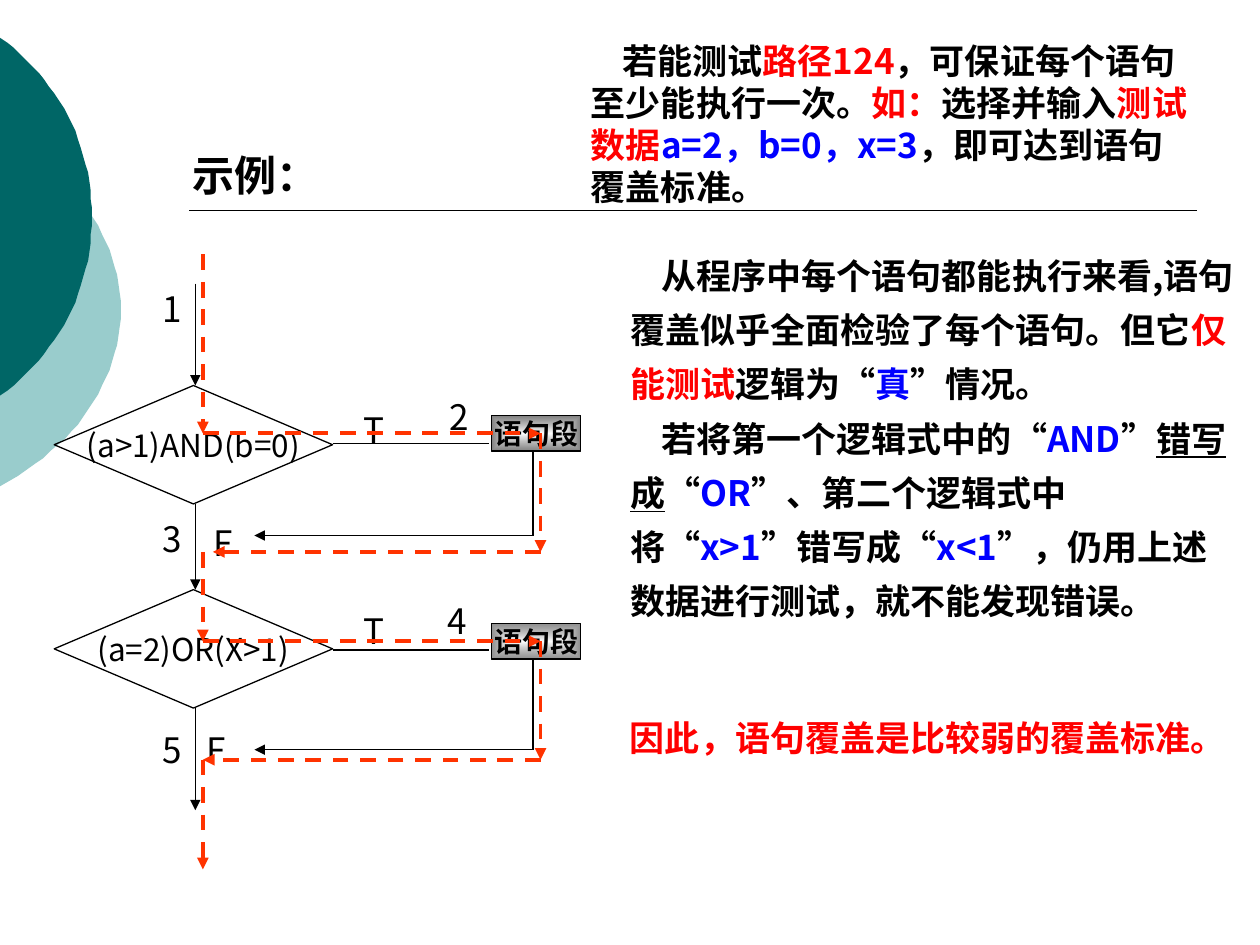
from lxml.etree import SubElement
from pptx import Presentation
from pptx.dml.color import RGBColor
from pptx.enum.dml import MSO_LINE
from pptx.enum.shapes import MSO_CONNECTOR, MSO_SHAPE
from pptx.enum.text import MSO_ANCHOR, MSO_AUTO_SIZE, PP_ALIGN
from pptx.oxml import parse_xml
from pptx.oxml.ns import nsdecls, qn
from pptx.util import Pt

PX = 9144
FONT = "Noto Sans CJK SC"
BLACK, RED, BLUE, ORANGE = "000000", "FF0000", "0000FF", "FF3300"


def px(*values):
    return [v * PX for v in values]


def rgb(color):
    return RGBColor.from_string(color)


def place(shape, box):
    shape.left, shape.top, shape.width, shape.height = px(*box)
    return shape


def write(shape, paragraphs, size=20, bold=False, align=PP_ALIGN.LEFT,
          anchor=MSO_ANCHOR.TOP, spacing=1.2, indent=0, wrap=True, font=FONT):
    tf = shape.text_frame
    tf.auto_size = MSO_AUTO_SIZE.NONE
    tf.word_wrap = wrap
    tf.vertical_anchor = anchor
    tf.margin_left = tf.margin_right = tf.margin_top = tf.margin_bottom = 0
    for i, runs in enumerate(paragraphs):
        p = tf.add_paragraph() if i else tf.paragraphs[0]
        p.alignment = align
        p.line_spacing = Pt(round(size * spacing))
        p.space_before = p.space_after = Pt(0)
        p.font.size, p.font.bold, p.font.name = Pt(size), bold, font
        pPr = p._p.get_or_add_pPr()
        pPr.set("marL", "0")
        pPr.set("indent", str(indent * PX))
        pPr.insert_element_before(
            parse_xml(f"<a:buNone {nsdecls('a')}/>"), "a:tabLst", "a:defRPr", "a:extLst")
        SubElement(pPr.find(qn("a:defRPr")), qn("a:ea"), typeface=FONT)
        for text, color, *underline in runs:
            r = p.add_run()
            r.text = text
            r.font.color.rgb = rgb(color)
            if underline:
                r.font.underline = True


def add_text(s, box, paragraphs, **style):
    write(place(s.shapes.add_textbox(0, 0, 0, 0), box), paragraphs, **style)


def add_line(s, start, end, width=0.75, color=BLACK, arrow=False, dash=False):
    line = s.shapes.add_connector(MSO_CONNECTOR.STRAIGHT, *px(*start, *end))
    line.line.width = Pt(width)
    line.line.color.rgb = rgb(color)
    if dash:
        line.line.dash_style = MSO_LINE.DASH
    if arrow:
        SubElement(line.line._get_or_add_ln(), qn("a:tailEnd"), type="triangle")
    SubElement(line._element.spPr, qn("a:effectLst"))


def add_box(s, kind, box):
    shape = place(s.shapes.add_shape(kind, 0, 0, 0, 0), box)
    shape.shadow.inherit = False
    shape.line.color.rgb = rgb(BLACK)
    shape.line.width = Pt(0.75)
    return shape


def add_decision(s, y, text):
    shape = add_box(s, MSO_SHAPE.DIAMOND, (43, y, 221, 94))
    shape.fill.background()
    write(shape, [[(text, BLACK)]], size=18, align=PP_ALIGN.CENTER,
          anchor=MSO_ANCHOR.MIDDLE, wrap=False)


def add_statement(s, y, opacity):
    shape = add_box(s, MSO_SHAPE.RECTANGLE, (390, y, 71, 28))
    shape.fill.background()
    spPr = shape._element.spPr
    spPr.replace(spPr.find(qn("a:noFill")), parse_xml(
        f'<a:gradFill {nsdecls("a")}><a:gsLst>'
        '<a:gs pos="0"><a:srgbClr val="FFFFFF"/></a:gs>'
        f'<a:gs pos="100000"><a:srgbClr val="5F5F5F"><a:alpha val="{opacity * 1000}"/>'
        '</a:srgbClr></a:gs></a:gsLst><a:path path="shape">'
        '<a:fillToRect l="50000" t="50000" r="50000" b="50000"/></a:path></a:gradFill>'))
    write(shape, [[("语句段", BLACK)]], size=16, bold=True, font="Cabin",
          align=PP_ALIGN.CENTER, anchor=MSO_ANCHOR.MIDDLE)


def add_edge_disc(s, curve, color, steps=24):
    arc = []
    for i in range(steps + 1):
        t = i / steps
        weights = ((1 - t) ** 3, 3 * t * (1 - t) ** 2, 3 * t * t * (1 - t), t ** 3)
        arc.append([sum(w * c[k] for w, c in zip(weights, curve)) for k in (0, 1)])
    middle = curve[-1][1]
    arc += [(x, 2 * middle - y) for x, y in arc[-2::-1]]
    builder = s.shapes.build_freeform(*arc[0], scale=PX)
    builder.add_line_segments(arc[1:], close=True)
    shape = builder.convert_to_shape()
    shape.shadow.inherit = False
    shape.fill.solid()
    shape.fill.fore_color.rgb = rgb(color)
    shape.line.fill.background()


def add_flowchart(s):
    for y, text in ((306, "(a>1)AND(b=0)"), (468, "(a=2)OR(X>1)")):
        add_decision(s, y, text)
    for y, opacity, branch, bottom in ((330, 80, 352, 425), (495, 70, 516, 595)):
        add_statement(s, y, opacity)
        add_line(s, (264, branch), (388, branch))
        add_line(s, (423, y + 28), (423, bottom))
        add_line(s, (423, bottom), (202, bottom), arrow=True)
    for top, bottom in ((225, 306), (400, 468), (562, 643)):
        add_line(s, (155, top), (155, bottom), arrow=True)
    labels = (("1", 123, 225), ("2", 351, 311), ("3", 123, 408), ("4", 349, 473),
              ("5", 123, 575), ("T", 283, 321), ("T", 283, 481),
              ("F", 164, 411), ("F", 158, 575))
    for text, x, y in labels:
        add_text(s, (x, y + 3, 27, 33), [[(text, BLACK)]], align=PP_ALIGN.CENTER)


def add_test_path(s):
    segments = (((161, 202), (161, 344)), ((161, 344), (429, 344)),
                ((429, 344), (429, 438)), ((429, 438), (169, 438)),
                ((161, 438), (161, 509)), ((161, 509), (429, 509)),
                ((429, 509), (429, 603)), ((429, 603), (161, 603)),
                ((161, 603), (161, 690)))
    for start, end in segments:
        add_line(s, start, end, width=2.25, color=ORANGE, arrow=True, dash=True)


def main():
    prs = Presentation()
    prs.slide_width, prs.slide_height = px(1000, 750)
    s = prs.slides.add_slide(prs.slide_layouts[1])
    add_edge_disc(s, ((0, 106), (60, 138), (96, 190), (96, 246)), "99CCCC")
    add_edge_disc(s, ((0, 30), (46, 62), (73, 116), (73, 172)), "006666")
    add_line(s, (150, 167), (950, 167), width=1)
    title, body = s.placeholders
    write(place(title, (153, 118, 102, 40)), [[("示例：", BLACK)]], size=24, bold=True)
    add_flowchart(s)
    add_text(s, (469, 31, 480, 135), [[
        ("若能测试", BLACK), ("路径124", RED),
        ("，可保证每个语句至少能执行一次。", BLACK), ("如：", RED),
        ("选择并输入", BLACK), ("测试数据", RED), ("a=2，b=0，x=3", BLUE),
        ("，即可达到语句覆盖标准。", BLACK)]], bold=True, indent=25)
    add_test_path(s)
    write(place(body, (500, 192, 480, 304)), [
        [("从程序中每个语句都能执行来看,语句覆盖似乎全面检验了每个语句。但它", BLACK),
         ("仅能测试", RED), ("逻辑为“", BLACK), ("真", BLUE), ("”情况。", BLACK)],
        [("若将第一个逻辑式中的“", BLACK), ("AND", BLUE), ("”", BLACK),
         ("错写成", BLACK, True), ("“", BLACK), ("OR", BLUE),
         ("”、第二个逻辑式中将“", BLACK), ("x>1", BLUE), ("”错写成“", BLACK),
         ("x<1", BLUE), ("”，仍用上述数据进行测试，就不能发现错误。", BLACK)],
    ], bold=True, spacing=1.56, indent=25)
    add_text(s, (500, 559, 480, 38), [[("因此，语句覆盖是比较弱的覆盖标准。", RED)]],
             bold=True, spacing=1.56)
    prs.save("out.pptx")


if __name__ == "__main__":
    main()
